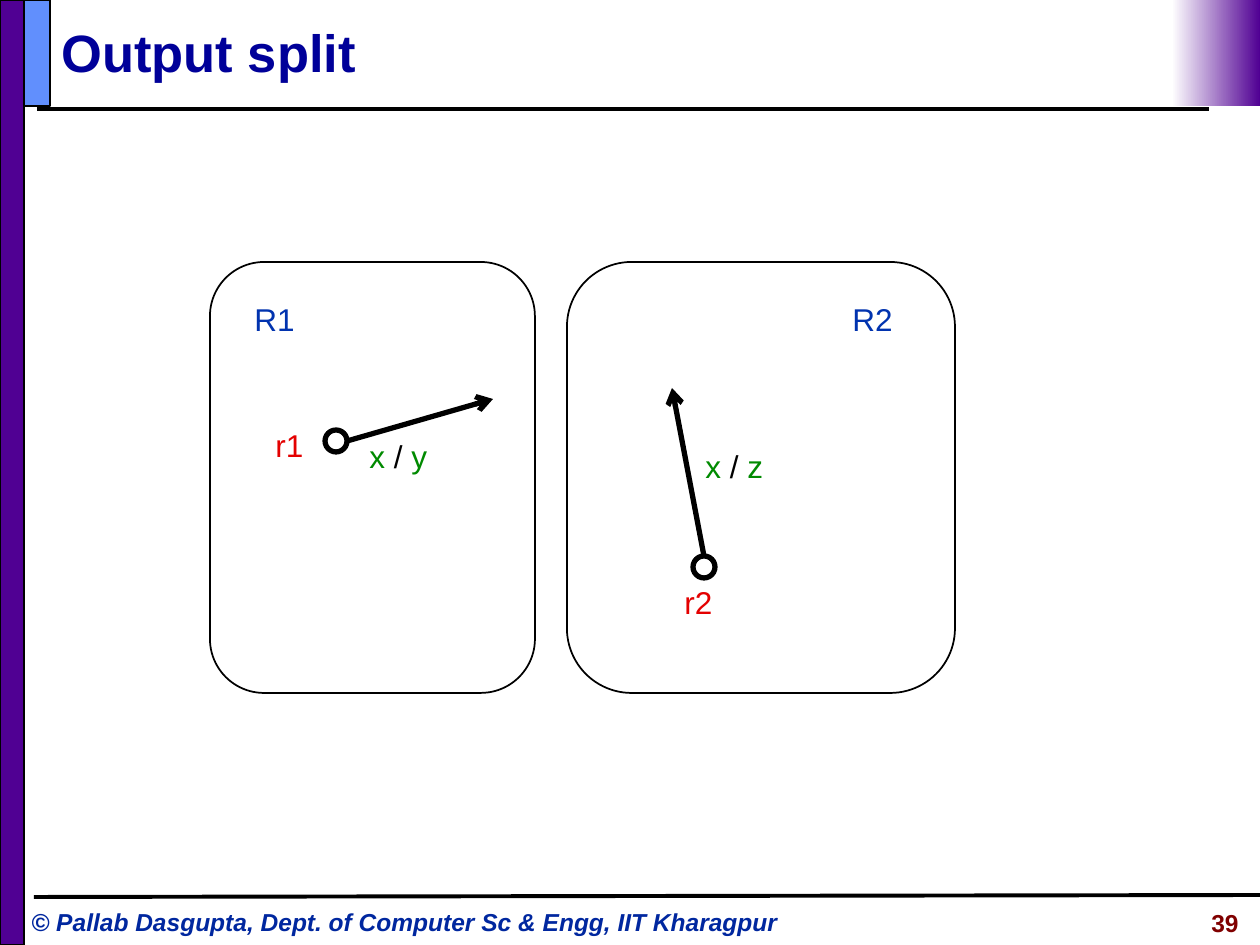
from lxml.etree import SubElement
from pptx import Presentation
from pptx.dml.color import RGBColor
from pptx.enum.shapes import MSO_CONNECTOR, MSO_SHAPE
from pptx.enum.text import MSO_ANCHOR, PP_ALIGN
from pptx.oxml.ns import qn
from pptx.util import Pt

BLACK = RGBColor(0x00, 0x00, 0x00)
WHITE = RGBColor(0xFF, 0xFF, 0xFF)
PURPLE = RGBColor(0x50, 0x00, 0x93)
SKY = RGBColor(0x61, 0x8F, 0xFD)
NAVY = RGBColor(0x00, 0x00, 0x99)
FOOTER_BLUE = RGBColor(0x00, 0x27, 0x9F)
REGION_BLUE = RGBColor(0x01, 0x33, 0xAF)
GREEN = RGBColor(0x00, 0x8A, 0x00)
RED = RGBColor(0xE4, 0x00, 0x00)
MAROON = RGBColor(0x80, 0x00, 0x00)


class SlideBuilder:
    FONT = "Arial"
    SCALE = 914400 / 126

    def __init__(self, slide):
        self.slide = slide

    def px(self, *lengths):
        return [round(length * self.SCALE) for length in lengths]

    def format_run(self, run, size, color, bold=False, italic=False):
        run.font.name = self.FONT
        run.font.size = Pt(size)
        run.font.color.rgb = color
        run.font.bold = bold
        run.font.italic = italic

    def title(self, box, text, size, color):
        title = self.slide.shapes.title
        title.left, title.top, title.width, title.height = self.px(*box)
        frame = title.text_frame
        frame.text = text
        frame.word_wrap = True
        frame.vertical_anchor = MSO_ANCHOR.MIDDLE
        paragraph = frame.paragraphs[0]
        paragraph.alignment = PP_ALIGN.LEFT
        self.format_run(paragraph.runs[0], size, color, bold=True)

    def text(self, box, parts, size=18, align=PP_ALIGN.LEFT, bold=False, italic=False):
        frame = self.slide.shapes.add_textbox(*self.px(*box)).text_frame
        frame.word_wrap = True
        paragraph = frame.paragraphs[0]
        paragraph.alignment = align
        for wording, color in parts:
            run = paragraph.add_run()
            run.text = wording
            self.format_run(run, size, color, bold, italic)

    def shape(self, kind, box, fill=None, line_width=1):
        shape = self.slide.shapes.add_shape(kind, *self.px(*box))
        shape.shadow.inherit = False
        if fill is None:
            shape.fill.background()
        else:
            shape.fill.solid()
            shape.fill.fore_color.rgb = fill
        shape.line.color.rgb = BLACK
        shape.line.width = Pt(line_width)
        return shape

    def gradient(self, box, start, end, angle):
        band = self.shape(MSO_SHAPE.RECTANGLE, box)
        band.line.fill.background()
        band.fill.gradient()
        band.fill.gradient_angle = angle
        for stop, color in zip(band.fill.gradient_stops, (start, end)):
            stop.color.rgb = color

    def line(self, ends, width, arrow=False):
        line = self.slide.shapes.add_connector(MSO_CONNECTOR.STRAIGHT, *self.px(*ends))
        line.line.color.rgb = BLACK
        line.line.width = Pt(width)
        if arrow:
            SubElement(line.line._get_or_add_ln(), qn("a:tailEnd"), type="arrow")
        SubElement(line._element.spPr, qn("a:effectLst"))


def main():
    presentation = Presentation()
    slide = presentation.slides.add_slide(presentation.slide_layouts[5])
    builder = SlideBuilder(slide)
    presentation.slide_width, presentation.slide_height = builder.px(1260, 945)

    builder.line((37, 109, 1209, 109), 2.25)
    builder.text(
        (19, 901, 803, 43),
        [("© Pallab Dasgupta, Dept. of Computer Sc & Engg, IIT Kharagpur", FOOTER_BLUE)],
        size=14, bold=True, italic=True,
    )
    builder.shape(MSO_SHAPE.RECTANGLE, (0, 0, 24, 945), PURPLE)
    builder.line((34, 897, 1260, 895), 2.25)
    builder.shape(MSO_SHAPE.RECTANGLE, (24, 0, 26, 106), SKY)
    builder.gradient((1172, 0, 88, 106), PURPLE, WHITE, 180)
    builder.title((49, 13, 1147, 77), "Output split", 30, NAVY)
    builder.text((1031, 902, 220, 44), [("39", MAROON)], 14, PP_ALIGN.RIGHT, bold=True)

    for left, width in ((210, 325), (567, 388)):
        builder.shape(MSO_SHAPE.ROUNDED_RECTANGLE, (left, 262, width, 431))

    for left, top in ((325, 430), (693, 556)):
        builder.shape(MSO_SHAPE.OVAL, (left, top, 22, 22), line_width=3)

    for ends in ((347, 441, 493, 399), (704, 556, 672, 388)):
        builder.line(ends, 3, arrow=True)

    for name, left, top, width, color in (
        ("R1", 242, 294, 84, REGION_BLUE),
        ("R2", 840, 294, 84, REGION_BLUE),
        ("r1", 263, 420, 73, RED),
        ("r2", 672, 577, 73, RED),
    ):
        builder.text((left, top, width, 50), [(name, color)])

    for output, left, top in (("y", 357, 431), ("z", 693, 441)):
        transition = [("x", GREEN), (" / ", BLACK), (output, GREEN)]
        builder.text((left, top, 126, 50), transition)

    presentation.save("out.pptx")


if __name__ == "__main__":
    main()
